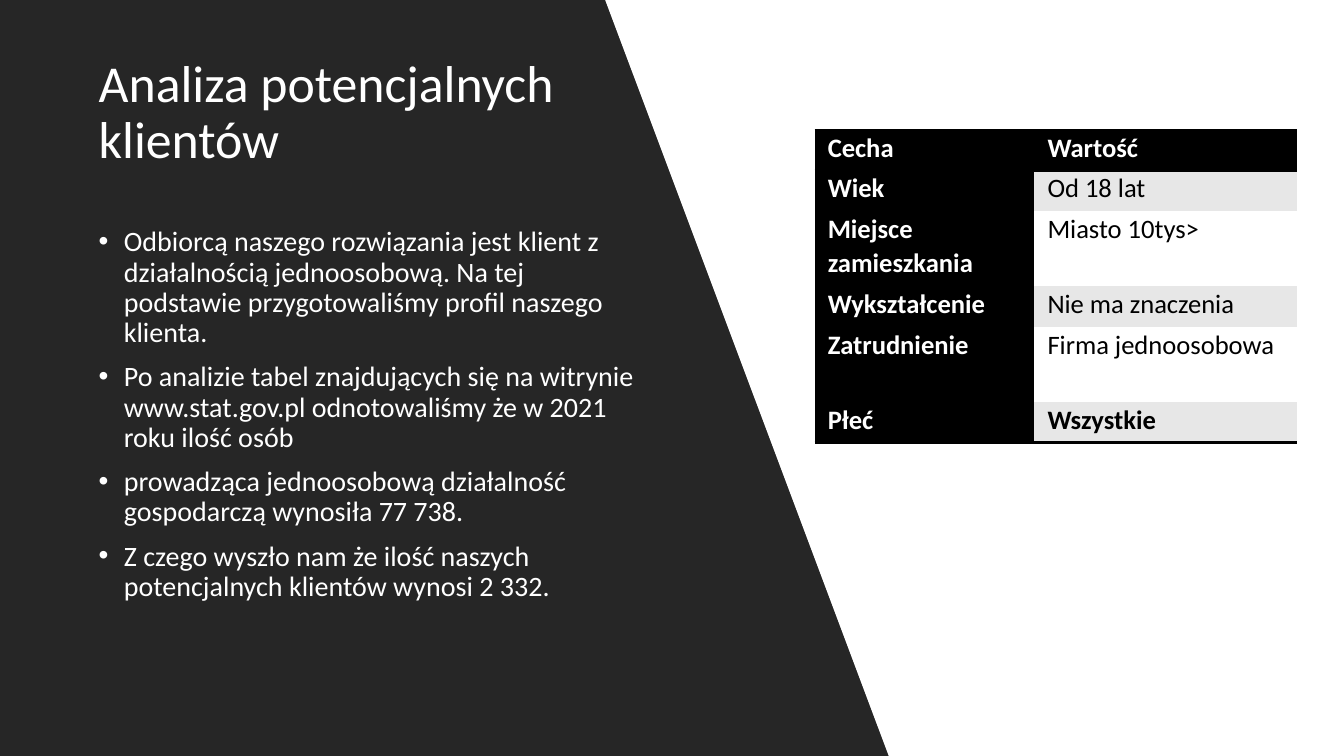
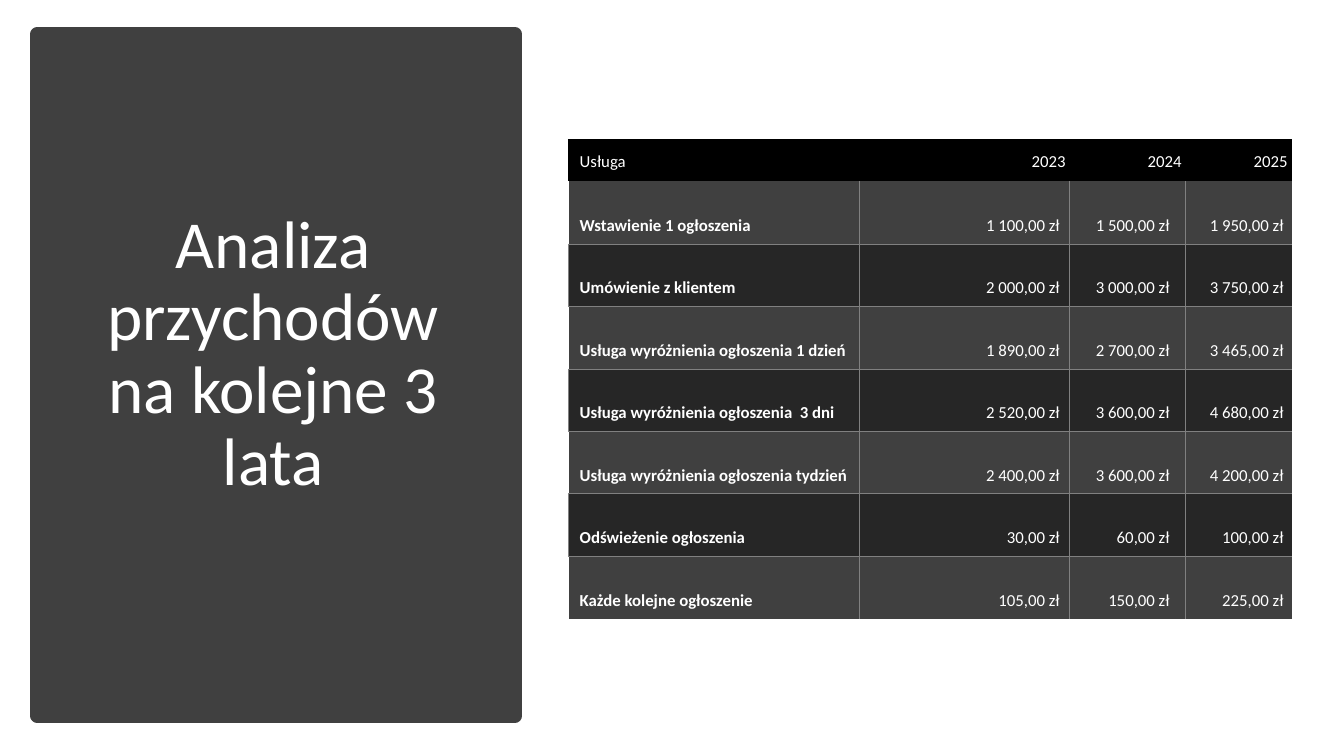
"""Build two slides: a customer profile and a three-year revenue table."""
from dataclasses import dataclass, field
from typing import Any

from lxml import etree
from pptx import Presentation
from pptx.dml.color import RGBColor
from pptx.enum.shapes import MSO_SHAPE
from pptx.enum.text import MSO_ANCHOR, PP_ALIGN
from pptx.oxml.ns import qn
from pptx.util import Inches, Pt

RECTANGLE = MSO_SHAPE.RECTANGLE
TOP, MIDDLE, BOTTOM = MSO_ANCHOR.TOP, MSO_ANCHOR.MIDDLE, MSO_ANCHOR.BOTTOM
LEFT, CENTER, RIGHT = PP_ALIGN.LEFT, PP_ALIGN.CENTER, PP_ALIGN.RIGHT

FONT = "Calibri"
BLACK, WHITE = "000000", "FFFFFF"
DARK, PANEL, BAND, GRID = "262626", "404040", "E7E7E7", "808080"
WIDTH, HEIGHT = 13.33, 7.5
PLAIN_TABLE_STYLE = "{2D5ABB26-0587-4C30-8999-92F81FD0307C}"

CUSTOMER_POINTS = [
    "Odbiorcą naszego rozwiązania jest klient z działalnością jednoosobową. "
    "Na tej podstawie przygotowaliśmy profil naszego klienta.",
    "Po analizie tabel znajdujących się na witrynie www.stat.gov.pl "
    "odnotowaliśmy że w 2021 roku ilość osób",
    "prowadząca jednoosobową działalność gospodarczą wynosiła 77 738.",
    "Z czego wyszło nam że ilość naszych potencjalnych klientów wynosi 2 332.",
]
CUSTOMER_ROWS = [
    ("Cecha", "Wartość"),
    ("Wiek", "Od 18 lat"),
    ("Miejsce zamieszkania", "Miasto 10tys>"),
    ("Wykształcenie", "Nie ma znaczenia"),
    ("Zatrudnienie", "Firma jednoosobowa"),
    ("Płeć", "Wszystkie"),
]
REVENUE_ROWS = [
    ("Usługa", "2023", "2024", "2025"),
    ("Wstawienie 1 ogłoszenia", "1 100,00 zł", "1 500,00 zł", "1 950,00 zł"),
    ("Umówienie z klientem", "2 000,00 zł", "3 000,00 zł", "3 750,00 zł"),
    ("Usługa wyróżnienia ogłoszenia 1 dzień", "1 890,00 zł", "2 700,00 zł", "3 465,00 zł"),
    ("Usługa wyróżnienia ogłoszenia  3 dni", "2 520,00 zł", "3 600,00 zł", "4 680,00 zł"),
    ("Usługa wyróżnienia ogłoszenia tydzień", "2 400,00 zł", "3 600,00 zł", "4 200,00 zł"),
    ("Odświeżenie ogłoszenia", "30,00 zł", "60,00 zł", "100,00 zł"),
    ("Każde kolejne ogłoszenie", "105,00 zł", "150,00 zł", "225,00 zł"),
]
AMOUNT_MARGINS = (0.1, 0.16, 0.08)


@dataclass(frozen=True)
class Box:
    """A place on the slide, in inches."""

    left: float
    top: float
    width: float
    height: float

    def lengths(self) -> tuple[Inches, ...]:
        """Return the place as lengths."""
        return tuple(Inches(value) for value in (self.left, self.top, self.width, self.height))


@dataclass(frozen=True)
class TextStyle:
    """The look of a run of paragraphs."""

    size: float
    color: str = WHITE
    bold: bool = False
    align: Any = LEFT
    line_spacing: float = 0.9
    before: float = 0
    after: float = 0
    bullet: bool = False


@dataclass(frozen=True)
class CellStyle:
    """The look of a table cell; borders map a side to colour and width."""

    text: TextStyle
    fill: str
    anchor: Any
    margins: tuple[float, float, float, float]
    borders: dict[str, tuple[str, float]] = field(default_factory=dict)


def colour(value: str) -> RGBColor:
    """Turn a hex string into a colour."""
    return RGBColor.from_string(value)


def apply(target: Any, values: dict[str, Any]) -> None:
    """Set each attribute named in a dict."""
    for name, value in values.items():
        setattr(target, name, value)


def write(frame: Any, texts: list[str], style: TextStyle) -> None:
    """Fill a text frame with one paragraph per text."""
    for index, text in enumerate(texts):
        paragraph = frame.add_paragraph() if index else frame.paragraphs[0]
        apply(paragraph, {
            "alignment": style.align,
            "line_spacing": style.line_spacing,
            "space_before": Pt(style.before),
            "space_after": Pt(style.after),
        })
        run = paragraph.add_run()
        run.text = text
        apply(run.font, {"name": FONT, "size": Pt(style.size), "bold": style.bold})
        run.font.color.rgb = colour(style.color)
        if style.bullet:
            properties = paragraph._p.get_or_add_pPr()
            properties.set("marL", str(Inches(0.25)))
            properties.set("indent", str(-Inches(0.25)))
            etree.SubElement(properties, qn("a:buFont"), typeface="Arial")
            etree.SubElement(properties, qn("a:buChar"), char="•")


def add_text(slide: Any, box: Box, texts: list[str], style: TextStyle, anchor: Any = TOP) -> None:
    """Add a wrapped text box."""
    frame = slide.shapes.add_textbox(*box.lengths()).text_frame
    apply(frame, {"word_wrap": True, "vertical_anchor": anchor})
    write(frame, texts, style)


def paint(shape: Any, fill: str, line_width: float = 0) -> None:
    """Give a shape a flat fill and, if wanted, a line of the same colour."""
    shape.shadow.inherit = False
    shape.fill.solid()
    shape.fill.fore_color.rgb = colour(fill)
    if line_width:
        shape.line.color.rgb = colour(fill)
        shape.line.width = Pt(line_width)
    else:
        shape.line.fill.background()


def add_slanted_panel(slide: Any, top_right: float, bottom_right: float, opacity: int) -> None:
    """Add a full-height dark panel with a slanted right edge."""
    builder = slide.shapes.build_freeform(0, 0, scale=Inches(1))
    builder.add_line_segments([(top_right, 0), (bottom_right, HEIGHT), (0, HEIGHT)])
    shape = builder.convert_to_shape()
    paint(shape, DARK)
    if opacity < 100:
        shade = shape._element.spPr.find(qn("a:solidFill"))[0]
        etree.SubElement(shade, qn("a:alpha"), val=str(opacity * 1000))


def format_cell(cell: Any, text: str, style: CellStyle) -> None:
    """Write and style one table cell."""
    left, top, right, bottom = style.margins
    apply(cell, {
        "margin_left": Inches(left),
        "margin_top": Inches(top),
        "margin_right": Inches(right),
        "margin_bottom": Inches(bottom),
        "vertical_anchor": style.anchor,
    })
    write(cell.text_frame, [text], style.text)
    properties = cell._tc.get_or_add_tcPr()
    for side in "LRTB":
        if side in style.borders:
            color, width = style.borders[side]
            line = etree.SubElement(properties, qn(f"a:ln{side}"), w=str(Pt(width)))
            fill = etree.SubElement(line, qn("a:solidFill"))
            etree.SubElement(fill, qn("a:srgbClr"), val=color)
    cell.fill.solid()
    cell.fill.fore_color.rgb = colour(style.fill)


def add_table(slide: Any, box: Box, rows: list[tuple[str, ...]], widths: list[float],
              heights: list[float], style_of: Any) -> None:
    """Add a table whose cell styles come from a function of row and column."""
    table = slide.shapes.add_table(len(rows), len(widths), *box.lengths()).table
    apply(table, {"first_row": False, "horz_banding": False})
    table._tbl.tblPr.find(qn("a:tableStyleId")).text = PLAIN_TABLE_STYLE
    for column, width in zip(table.columns, widths):
        column.width = Inches(width)
    for row_index, (row, height) in enumerate(zip(rows, heights)):
        table.rows[row_index].height = Inches(height)
        for column_index, text in enumerate(row):
            format_cell(table.cell(row_index, column_index), text,
                        style_of(row_index, column_index))


def customer_cell(row: int, column: int) -> CellStyle:
    """Style the customer table: black labels and banded values."""
    last = len(CUSTOMER_ROWS) - 1
    label = row == 0 or column == 0
    rule = (BLACK, 2)
    borders = {0: {"T": rule, "B": rule}, last: {"B": rule}}.get(row, {})
    text = TextStyle(19, WHITE if label else BLACK, label or row == last,
                     line_spacing=1.07, after=8)
    fill = BLACK if label else BAND if row % 2 else WHITE
    return CellStyle(text, fill, TOP, (0.13, 0, 0.13, 0), borders)


def revenue_cell(row: int, column: int) -> CellStyle:
    """Style the revenue table: black header, two dark bands, thin grid."""
    last = len(REVENUE_ROWS) - 1
    text = TextStyle(12, bold=row > 0 and column == 0, align=RIGHT if column else LEFT,
                     line_spacing=1.07, after=8)
    if row == 0:
        borders = {"T": (BLACK, 1.5)}
        if column == 0:
            borders["L"] = (BLACK, 1.5)
        return CellStyle(text, BLACK, MIDDLE, (0.11, 0.08, 0.04, 0.08), borders)
    light = row % 2 == 1
    sides = {
        "L": column > 0 or not light,
        "R": column < len(REVENUE_ROWS[0]) - 1,
        "T": not light,
        "B": light and row < last,
    }
    borders = {side: (GRID, 0.5) for side, shown in sides.items() if shown}
    right = AMOUNT_MARGINS[column - 1] if column else 0.04
    return CellStyle(text, PANEL if light else DARK, BOTTOM, (0.11, 0.08, right, 0.08), borders)


def add_slide(presentation: Any, background: str) -> Any:
    """Add a blank slide with a flat background."""
    slide = presentation.slides.add_slide(presentation.slide_layouts[6])
    slide.background.fill.solid()
    slide.background.fill.fore_color.rgb = colour(background)
    return slide


def add_panel(slide: Any, box: Box, fill: str, line_width: float = 0) -> None:
    """Add a flat rectangle."""
    paint(slide.shapes.add_shape(RECTANGLE, *box.lengths()), fill, line_width)


def build_customer_slide(presentation: Any) -> None:
    """Build the customer profile slide."""
    slide = add_slide(presentation, BLACK)
    add_panel(slide, Box(0, 0, WIDTH, HEIGHT), WHITE)
    add_slanted_panel(slide, 6, 9.47, 70)
    add_slanted_panel(slide, 5.53, 9.01, 100)
    add_text(slide, Box(0.88, 0.4, 4.79, 1.45), ["Analiza potencjalnych klientów"],
             TextStyle(37), MIDDLE)
    add_text(slide, Box(0.88, 2.21, 5.55, 4.54), CUSTOMER_POINTS,
             TextStyle(20, before=10, bullet=True))
    add_table(slide, Box(8.08, 1.29, 4.78, 3.1), CUSTOMER_ROWS, [2.18, 2.6],
              [0.4, 0.4, 0.75, 0.4, 0.75, 0.4], customer_cell)


def build_revenue_slide(presentation: Any) -> None:
    """Build the revenue slide."""
    slide = add_slide(presentation, WHITE)
    add_panel(slide, Box(0.37, 0.34, 4.74, 6.76), PANEL, 10)
    add_text(slide, Box(0.81, 0.81, 3.8, 5.43), ["Analiza przychodów na kolejne 3 lata"],
             TextStyle(48, align=CENTER), MIDDLE)
    add_table(slide, Box(5.64, 1.39, 7.17, 4.75), REVENUE_ROWS, [2.88, 2.09, 1.15, 1.05],
              [0.41] + [0.62] * (len(REVENUE_ROWS) - 1), revenue_cell)


def main() -> None:
    """Build and save the presentation."""
    presentation = Presentation()
    apply(presentation, {"slide_width": Inches(WIDTH), "slide_height": Inches(HEIGHT)})
    build_customer_slide(presentation)
    build_revenue_slide(presentation)
    presentation.save("out.pptx")


if __name__ == "__main__":
    main()
